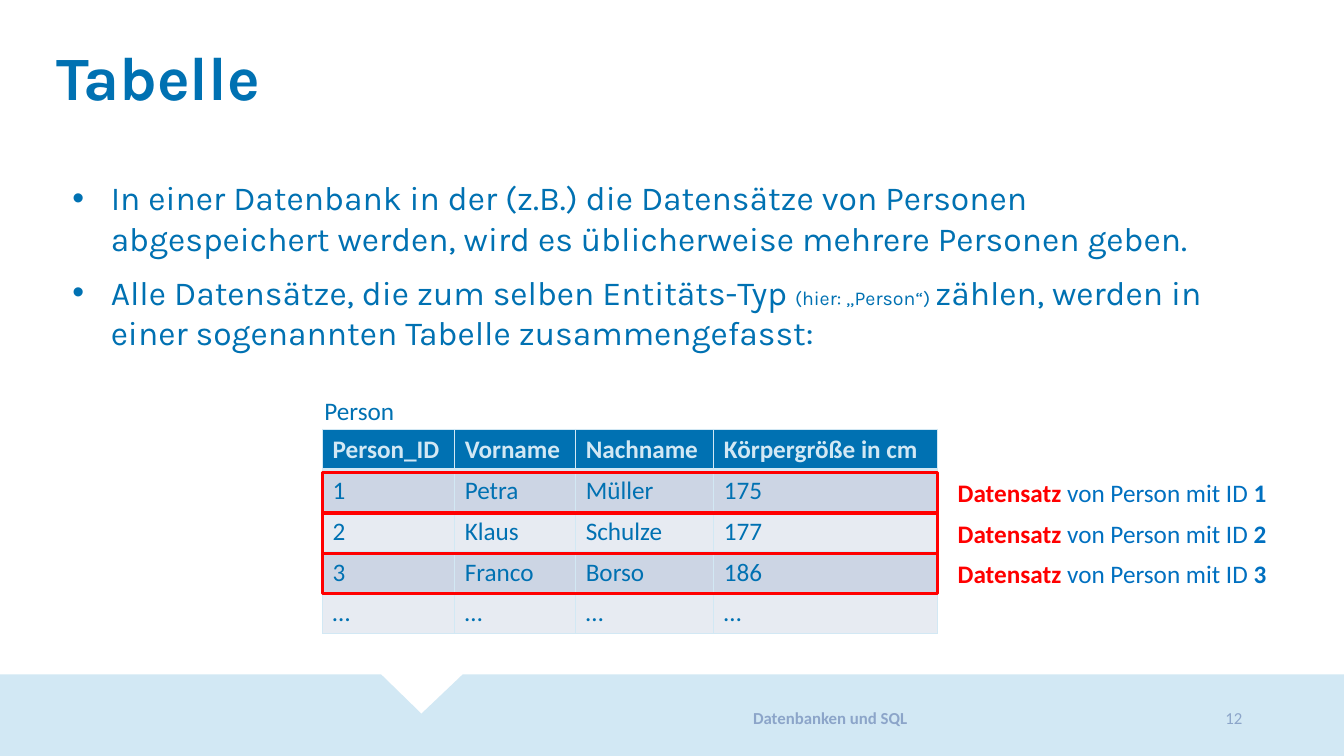
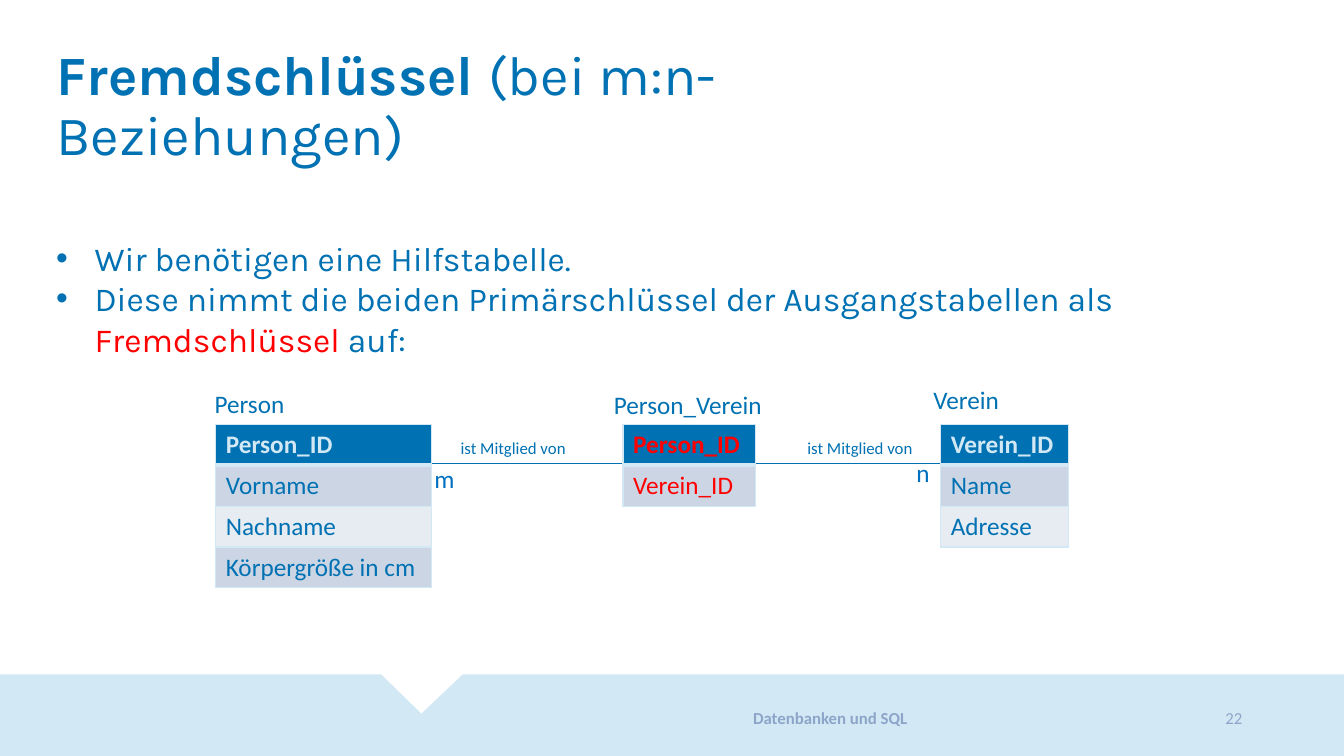
from lxml.etree import SubElement
from pptx import Presentation
from pptx.dml.color import RGBColor
from pptx.enum.shapes import MSO_CONNECTOR, MSO_SHAPE
from pptx.enum.text import MSO_ANCHOR, MSO_AUTO_SIZE, PP_ALIGN
from pptx.oxml.ns import qn
from pptx.util import Pt

PX = 9144  # 100 px to the inch
WIDTH, HEIGHT = 1333, 750

BLUE = RGBColor(0x00, 0x71, 0xB2)
LABEL_BLUE = RGBColor(0x00, 0x70, 0xC0)
PALE = RGBColor(0xD2, 0xE8, 0xF4)
FOOTER = RGBColor(0x8C, 0xA5, 0xC9)
ROW_DARK = RGBColor(0xCC, 0xD5, 0xE4)
ROW_LIGHT = RGBColor(0xE7, 0xEB, 0xF2)
RED = RGBColor(0xFF, 0x00, 0x00)

HEADING_FONT, TEXT_FONT = "Karla", "Calibri"
ROW = 40


class Deck:
    def __init__(self):
        self.prs = Presentation()
        self.prs.slide_width, self.prs.slide_height = WIDTH * PX, HEIGHT * PX
        self.s = None

    def slide(self, number, title, title_size):
        """Start a slide with band, title and footer."""
        self.s = self.prs.slides.add_slide(self.prs.slide_layouts[6])
        self.band()
        self.text(46, 42, 941, 79, [title], size=title_size, font=HEADING_FONT,
                  line_spacing=0.9)
        self.text(587, 690, 473, 45, ["Datenbanken und SQL"], size=12, color=FOOTER,
                  bold=True, align=PP_ALIGN.CENTER, anchor=MSO_ANCHOR.MIDDLE)
        self.text(1060, 690, 182, 45, [str(number)], size=12, color=FOOTER,
                  align=PP_ALIGN.RIGHT, anchor=MSO_ANCHOR.MIDDLE)

    def band(self):
        outline = self.s.shapes.build_freeform(0, 669, scale=PX)
        outline.add_line_segments([(378, 669), (418, 708), (459, 669), (WIDTH, 669),
                                   (WIDTH, HEIGHT), (0, HEIGHT)])
        sp = outline.convert_to_shape()
        sp.shadow.inherit = False
        sp.fill.solid()
        sp.fill.fore_color.rgb = PALE
        sp.line.fill.background()

    def runs(self, p, content, size=18, font=TEXT_FONT, color=BLUE, bold=False):
        """Content is a string or a list of (text, style changes) pairs."""
        if isinstance(content, str):
            content = [(content, {})]
        for words, changes in content:
            r = p.add_run()
            r.text = words
            r.font.name = font
            r.font.size = Pt(changes.get("size", size))
            r.font.bold = changes.get("bold", bold)
            r.font.color.rgb = changes.get("color", color)

    def text(self, x, y, w, h, paragraphs, wrap=True, align=PP_ALIGN.LEFT,
             anchor=MSO_ANCHOR.TOP, line_spacing=1.0, gap=0, bullet=False, **style):
        tf = self.s.shapes.add_textbox(x * PX, y * PX, w * PX, h * PX).text_frame
        tf.word_wrap = wrap
        tf.auto_size = MSO_AUTO_SIZE.NONE
        tf.vertical_anchor = anchor
        for i, content in enumerate(paragraphs):
            p = tf.add_paragraph() if i else tf.paragraphs[0]
            if bullet:
                pPr = p._p.get_or_add_pPr()
                pPr.set("marL", str(38 * PX))
                pPr.set("indent", str(-38 * PX))
                SubElement(pPr, qn("a:buFont"), typeface="Arial")
                SubElement(pPr, qn("a:buChar"), char="•")
            p.alignment = align
            p.line_spacing = line_spacing
            if i and gap:
                p.space_before = Pt(gap)
            self.runs(p, content, **style)

    def bullets(self, x, y, w, h, paragraphs, gap=0):
        self.text(x, y, w, h, paragraphs, gap=gap, bullet=True, size=24, font=HEADING_FONT)

    def label(self, x, y, w, content, h=40, **style):
        self.text(x, y, w, h, [content], wrap=False, **style)

    def borders(self, cell, top, bottom):
        tcPr = cell._tc.get_or_add_tcPr()
        for i, (side, width) in enumerate(zip("LRTB", (1, 1, top, bottom))):
            ln = SubElement(tcPr, qn("a:ln" + side), w=str(Pt(width)))
            fill = SubElement(ln, qn("a:solidFill"))
            SubElement(fill, qn("a:srgbClr"), val=str(PALE))
            tcPr.insert(i, ln)

    def table(self, x, y, widths, rows, head_color=PALE, body_color=BLUE):
        frame = self.s.shapes.add_table(len(rows), len(widths), x * PX, y * PX,
                                        sum(widths) * PX, len(rows) * ROW * PX)
        table = frame.table
        for column, width in zip(table.columns, widths):
            column.width = width * PX
        for i, row in enumerate(rows):
            table.rows[i].height = ROW * PX
            head = i == 0
            for j, words in enumerate(row):
                cell = table.cell(i, j)
                cell.fill.solid()
                cell.fill.fore_color.rgb = BLUE if head else (ROW_LIGHT, ROW_DARK)[i % 2]
                self.borders(cell, 3 if i == 1 else 1, 3 if head else 1)
                self.runs(cell.text_frame.paragraphs[0], words, bold=head,
                          color=head_color if head else body_color)

    def frame(self, x, y, w, h):
        sp = self.s.shapes.add_shape(MSO_SHAPE.RECTANGLE, x * PX, y * PX, w * PX, h * PX)
        sp.shadow.inherit = False
        sp.fill.background()
        sp.line.color.rgb = RED
        sp.line.width = Pt(2.25)

    def line(self, x1, y1, x2, y2):
        line = self.s.shapes.add_connector(MSO_CONNECTOR.STRAIGHT,
                                           x1 * PX, y1 * PX, x2 * PX, y2 * PX)
        line.line.color.rgb = BLUE
        line.line.width = Pt(0.5)
        SubElement(line._element.spPr, qn("a:effectLst"))


def table_slide(deck):
    deck.slide(12, [("Tabelle", {"bold": True})], 44)
    deck.bullets(62, 171, 1159, 252, [
        "In einer Datenbank in der (z.B.) die Datensätze von Personen "
        "abgespeichert werden, wird es üblicherweise mehrere Personen geben.",
        [("Alle Datensätze, die zum selben Entitäts-Typ ", {}),
         ("(hier: „Person“) ", {"size": 14}),
         ("zählen, werden in einer sogenannten Tabelle zusammengefasst:", {})],
    ], gap=10)

    widths = [131, 120, 137, 222]
    deck.table(320, 426, widths, [
        ["Person_ID", "Vorname", "Nachname", "Körpergröße in cm"],
        ["1", "Petra", "Müller", "175"],
        ["2", "Klaus", "Schulze", "177"],
        ["3", "Franco", "Borso", "186"],
        ["…"] * 4,
    ])
    deck.label(312, 387, 90, "Person")

    # One frame and caption per record
    for i in range(3):
        y = 469 + i * ROW
        deck.label(940, y, 328, [("Datensatz ", {"color": RED, "bold": True}),
                                 ("von Person mit ID ", {}),
                                 (str(i + 1), {"bold": True})], color=LABEL_BLUE)
        deck.frame(320, y, sum(widths), ROW)


def foreign_key_slide(deck):
    deck.slide(22, [("Fremdschlüssel ", {"bold": True}), ("(bei m:n-Beziehungen)", {})], 39.6)
    deck.bullets(46, 231, 1257, 131, [
        "Wir benötigen eine Hilfstabelle.",
        [("Diese nimmt die beiden Primärschlüssel der Ausgangstabellen als ", {}),
         ("Fremdschlüssel", {"color": RED}),
         (" auf:", {})],
    ])

    # Relationship line, running behind the helper table
    deck.line(428, 460, 933, 460)
    for x in (447, 791):
        deck.label(x, 429, 126, "ist Mitglied von", h=30, size=12)
    deck.label(421, 455, 41, "m", color=LABEL_BLUE)
    deck.label(899, 449, 34, "n", color=LABEL_BLUE)

    # Tables and their names
    deck.table(214, 421, [214], [["Person_ID"], ["Vorname"], ["Nachname"],
                                 ["Körpergröße in cm"]])
    deck.table(933, 421, [127], [["Verein_ID"], ["Name"], ["Adresse"]])
    deck.table(618, 421, [131], [["Person_ID"], ["Verein_ID"]],
               head_color=RED, body_color=RED)
    deck.label(203, 380, 90, "Person")
    deck.label(916, 376, 86, "Verein")
    deck.label(599, 381, 169, "Person_Verein")


def main():
    deck = Deck()
    table_slide(deck)
    foreign_key_slide(deck)
    deck.prs.save("out.pptx")


if __name__ == "__main__":
    main()
